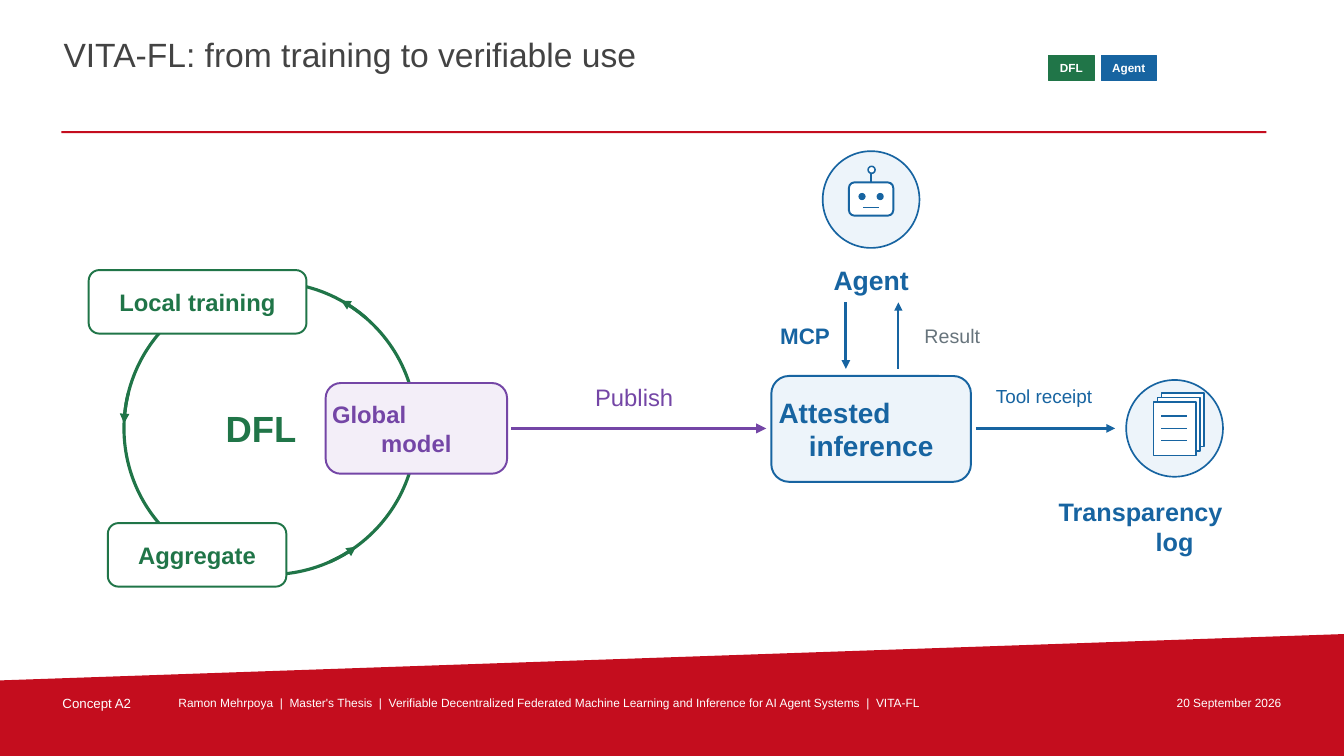
import math

import pptx
import pptx.dml.color
import pptx.enum.shapes
import pptx.enum.text
import pptx.oxml.ns
import pptx.util
from lxml import etree
from pptx.util import Inches

Shape = pptx.enum.shapes.MSO_SHAPE
Align = pptx.enum.text.PP_ALIGN
Anchor = pptx.enum.text.MSO_ANCHOR


class Theme:
    font = "Arial"
    white, red, title, grey = "FFFFFF", "C40D1E", "434343", "67747C"
    green, blue, purple = "207548", "1764A1", "7446A6"
    pale_blue, pale_purple = "EDF4FA", "F3EEF8"
    size_title, size_hub, size_inference, size_agent = 24, 26, 20, 19
    size_log, size_step, size_mcp, size_result, size_receipt = 18, 17, 16, 14, 13.5
    size_concept, size_footer, size_tag = 9.5, 8.5, 8.4


def add_box(at, text="", size=0, color=None, bold=False, align=Align.CENTER,
            anchor=Anchor.MIDDLE, inset=0, kind=None, fill=None, line=None, width=1.2):
    """Add a preset shape, or a plain text box when no kind is given.

    In a text of two lines, the first starts at the left edge.
    """
    frame = [Inches(length) for length in at]
    if kind is None:
        shape = slide.shapes.add_textbox(*frame)
    else:
        shape = slide.shapes.add_shape(kind, *frame)
        shape.shadow.inherit = False
        shape.fill.solid()
        shape.fill.fore_color.rgb = pptx.dml.color.RGBColor.from_string(fill)
        if line:
            shape.line.color.rgb = pptx.dml.color.RGBColor.from_string(line)
            shape.line.width = pptx.util.Pt(width)
        else:
            shape.line.fill.background()
    if text:
        text_frame = shape.text_frame
        text_frame.word_wrap = True
        text_frame.vertical_anchor = anchor
        text_frame.margin_left = text_frame.margin_right = Inches(inset)
        text_frame.margin_top = text_frame.margin_bottom = Inches(inset)
        text_frame.text = text
        for paragraph in text_frame.paragraphs:
            paragraph.alignment = align
            font = paragraph.runs[0].font
            font.name, font.size, font.bold = Theme.font, pptx.util.Pt(size), bold
            font.color.rgb = pptx.dml.color.RGBColor.from_string(color)
        if len(text_frame.paragraphs) > 1:
            text_frame.paragraphs[0].alignment = Align.LEFT


def add_line(start, end, color, width, arrow=False):
    connector = slide.shapes.add_connector(
        pptx.enum.shapes.MSO_CONNECTOR.STRAIGHT,
        *[Inches(length) for length in (*start, *end)])
    connector.line.color.rgb = pptx.dml.color.RGBColor.from_string(color)
    connector.line.width = pptx.util.Pt(width)
    if arrow:
        etree.SubElement(connector.line._get_or_add_ln(),
                         pptx.oxml.ns.qn("a:tailEnd"), type="triangle")
    etree.SubElement(connector._element.spPr, pptx.oxml.ns.qn("a:effectLst"))


presentation = pptx.Presentation()
presentation.slide_width, presentation.slide_height = Inches(13.33), Inches(7.5)
slide = presentation.slides.add_slide(presentation.slide_layouts[5])

# Footer band
builder = slide.shapes.build_freeform(0, Inches(6.75))
builder.add_line_segments([(Inches(x), Inches(y)) for x, y in
                           ((13.33, 6.29), (13.33, 7.5), (0, 7.5))])
band = builder.convert_to_shape()
band.shadow.inherit = False
band.fill.solid()
band.fill.fore_color.rgb = pptx.dml.color.RGBColor.from_string(Theme.red)
band.line.fill.background()

for left, width, text, size, align in (
    (0.6, 1, "Concept A2", Theme.size_concept, Align.LEFT),
    (1.75, 9.35, "Ramon Mehrpoya  |  Master's Thesis  |  Verifiable Decentralized Federated "
     "Machine Learning and Inference for AI Agent Systems  |  VITA-FL",
     Theme.size_footer, Align.LEFT),
    (11.2, 1.53, "20 September 2026", Theme.size_footer, Align.RIGHT),
):
    add_box((left, 6.88, width, 0.22), text, size, Theme.white, align=align,
            anchor=Anchor.TOP, inset=0.02)

# Title, rule and tags
title = slide.shapes.title
title.left, title.top, title.width, title.height = [
    Inches(length) for length in (0.61, 0.32, 9.65, 0.62)]
title_frame = title.text_frame
title_frame.text = "VITA-FL: from training to verifiable use"
title_frame.auto_size = pptx.enum.text.MSO_AUTO_SIZE.NONE
title_frame.vertical_anchor = Anchor.TOP
title_frame.margin_left = title_frame.margin_right = Inches(0.02)
title_frame.margin_top = title_frame.margin_bottom = Inches(0.02)
title_frame.paragraphs[0].alignment = Align.LEFT
title_font = title_frame.paragraphs[0].runs[0].font
title_font.name, title_font.size = Theme.font, pptx.util.Pt(Theme.size_title)
title_font.color.rgb = pptx.dml.color.RGBColor.from_string(Theme.title)

add_box((0.61, 1.3, 11.95, 0.02), kind=Shape.RECTANGLE, fill=Theme.red)
for left, width, text, color in ((10.4, 0.45, "DFL", Theme.green),
                                 (10.92, 0.55, "Agent", Theme.blue)):
    add_box((left, 0.55, width, 0.25), text, Theme.size_tag, Theme.white, bold=True,
            kind=Shape.RECTANGLE, fill=color, line=color, width=0.55)

# Training ring, with arrows that follow its curve counterclockwise
center_x, center_y, radius = 2.68, 4.25, 1.45
add_box((center_x - radius, center_y - radius, 2 * radius, 2 * radius),
        kind=Shape.OVAL, fill=Theme.white, line=Theme.green, width=2.25)
arc_steps, step_angle = 8, 1.5
for start_angle in (194, 66, -49):
    angles = [math.radians(start_angle - step_angle * step) for step in range(arc_steps + 1)]
    points = [(center_x + radius * math.cos(angle), center_y + radius * math.sin(angle))
              for angle in angles]
    for step in range(arc_steps):
        add_line(points[step], points[step + 1], Theme.green, 2.3,
                 arrow=step == arc_steps - 1)

# Process boxes
for at, text, size, color, fill in (
    ((0.88, 2.68, 2.16, 0.63), "Local training", Theme.size_step, Theme.green, Theme.white),
    ((1.07, 5.19, 1.77, 0.63), "Aggregate", Theme.size_step, Theme.green, Theme.white),
    ((3.23, 3.8, 1.8, 0.9), "Global\nmodel", Theme.size_step, Theme.purple, Theme.pale_purple),
    ((7.65, 3.73, 1.98, 1.05), "Attested\ninference", Theme.size_inference, Theme.blue,
     Theme.pale_blue),
):
    add_box(at, text, size, color, bold=True, inset=0.02, kind=Shape.ROUNDED_RECTANGLE,
            fill=fill, line=color, width=1.4)

# Flow arrows
for start, end, color, width in (
    ((5.07, 4.25), (7.6, 4.25), Theme.purple, 2.4),
    ((9.68, 4.25), (11.06, 4.25), Theme.blue, 2.1),
    ((8.39, 3), (8.39, 3.66), Theme.blue, 2.1),
    ((8.91, 3.66), (8.91, 3), Theme.blue, 1.5),
):
    add_line(start, end, color, width, arrow=True)

# Labels
for at, text, size, color, bold in (
    ((1.92, 4, 1.34, 0.5), "DFL", Theme.size_hub, Theme.green, True),
    ((5.7, 3.76, 1.18, 0.35), "Publish", Theme.size_step, Theme.purple, False),
    ((9.74, 3.76, 1.23, 0.33), "Tool receipt", Theme.size_receipt, Theme.blue, False),
    ((10.5, 4.86, 2.3, 0.72), "Transparency\nlog", Theme.size_log, Theme.blue, True),
    ((7.49, 2.59, 2.3, 0.38), "Agent", Theme.size_agent, Theme.blue, True),
    ((7.66, 3.18, 0.65, 0.3), "MCP", Theme.size_mcp, Theme.blue, True),
    ((9.05, 3.18, 0.79, 0.3), "Result", Theme.size_result, Theme.grey, False),
):
    add_box(at, text, size, color, bold)

# Icon discs
for left, top in ((11.17, 3.77), (8.16, 1.5)):
    add_box((left, top, 0.96, 0.96), kind=Shape.OVAL, fill=Theme.pale_blue, line=Theme.blue)

# Log icon: stacked pages with text rules
for page in range(3):
    add_box((11.52 - 0.04 * page, 3.9 + 0.045 * page, 0.42, 0.53),
            kind=Shape.RECTANGLE, fill=Theme.white, line=Theme.blue)
for rule in range(3):
    rule_y = 4.13 + 0.12 * rule
    add_line((11.52, rule_y), (11.77, rule_y), Theme.blue, 1.2)

# Agent icon: robot head
add_box((8.42, 1.81, 0.44, 0.33), kind=Shape.ROUNDED_RECTANGLE,
        fill=Theme.white, line=Theme.blue, width=1.4)
for eye_left in (8.52, 8.7):
    add_box((eye_left, 1.92, 0.06, 0.06), kind=Shape.OVAL,
            fill=Theme.blue, line=Theme.blue, width=0.8)
add_line((8.56, 2.06), (8.72, 2.06), Theme.blue, 1.2)
add_line((8.64, 1.81), (8.64, 1.72), Theme.blue, 1.2)
add_box((8.61, 1.65, 0.07, 0.07), kind=Shape.OVAL,
        fill=Theme.white, line=Theme.blue, width=1.1)

presentation.save("out.pptx")
